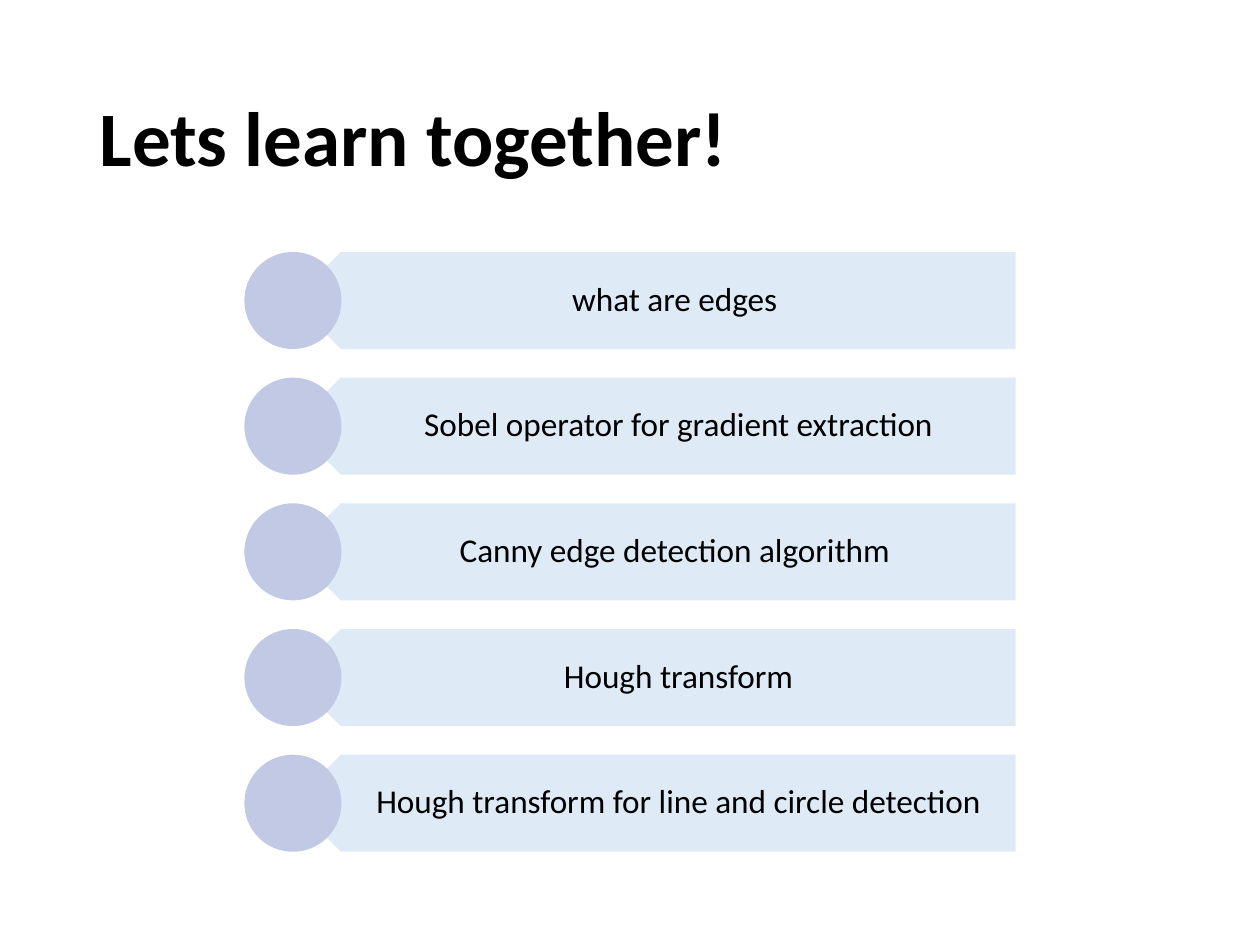
from pptx import Presentation
from pptx.dml.color import RGBColor
from pptx.enum.shapes import MSO_SHAPE as Kind
from pptx.enum.text import MSO_ANCHOR as Anchor, PP_ALIGN as Align
from pptx.util import Inches, Pt

TITLE = "Lets learn together!"
TOPICS = [
    "what are edges ",
    "Sobel operator for gradient extraction",
    "Canny edge detection algorithm ",
    "Hough transform",
    "Hough transform for line and circle detection",
]
COLORS = {"text": "000000", "bar": "DEEBF7", "dot": "C1C9E4"}
FONT = "Calibri"

TOP, STEP, SIZE = 2, 0.9975, 0.77
DOT_X, BAR_X, TEXT_X, RIGHT = 1.94, 2.32, 2.52, 8.06
INSETS = (0.34, 0.08, 0.15, 0.08)


def box(left, top, width, height):
    return [Inches(v) for v in (left, top, width, height)]


def write(frame, text, size, align, bold=False):
    frame.word_wrap = True
    frame.vertical_anchor = Anchor.MIDDLE
    para = frame.paragraphs[0]
    para.alignment = align
    para.line_spacing = 0.9
    run = para.add_run()
    run.text = text
    font = run.font
    font.name, font.size, font.bold = FONT, Pt(size), bold
    font.color.rgb = RGBColor.from_string(COLORS["text"])


def add_plain(slide, kind, place, color):
    """Add a filled shape with no outline or shadow."""
    shape = slide.shapes.add_shape(kind, *place)
    shape.shadow.inherit = False
    shape.fill.solid()
    shape.fill.fore_color.rgb = RGBColor.from_string(COLORS[color])
    shape.line.fill.background()
    return shape


def add_topic(slide, text, top):
    bar = add_plain(slide, Kind.PENTAGON,
                    box(BAR_X, top, RIGHT - BAR_X, SIZE), "bar")
    bar.rotation = 180
    label = slide.shapes.add_textbox(*box(TEXT_X, top, RIGHT - TEXT_X, SIZE))
    frame = label.text_frame
    (frame.margin_left, frame.margin_top,
     frame.margin_right, frame.margin_bottom) = map(Inches, INSETS)
    write(frame, text, 19, Align.CENTER)
    add_plain(slide, Kind.OVAL, box(DOT_X, top, SIZE, SIZE), "dot")


def main():
    deck = Presentation()
    deck.slide_width, deck.slide_height = Inches(10), Inches(7.5)
    slide = deck.slides.add_slide(deck.slide_layouts[5])
    title = slide.shapes.title
    title.left, title.top, title.width, title.height = box(0.69, 0.4, 8.62, 1.45)
    write(title.text_frame, TITLE, 44, Align.LEFT, bold=True)
    for i, topic in enumerate(TOPICS):
        add_topic(slide, topic, TOP + i * STEP)
    deck.save("out.pptx")


if __name__ == "__main__":
    main()
